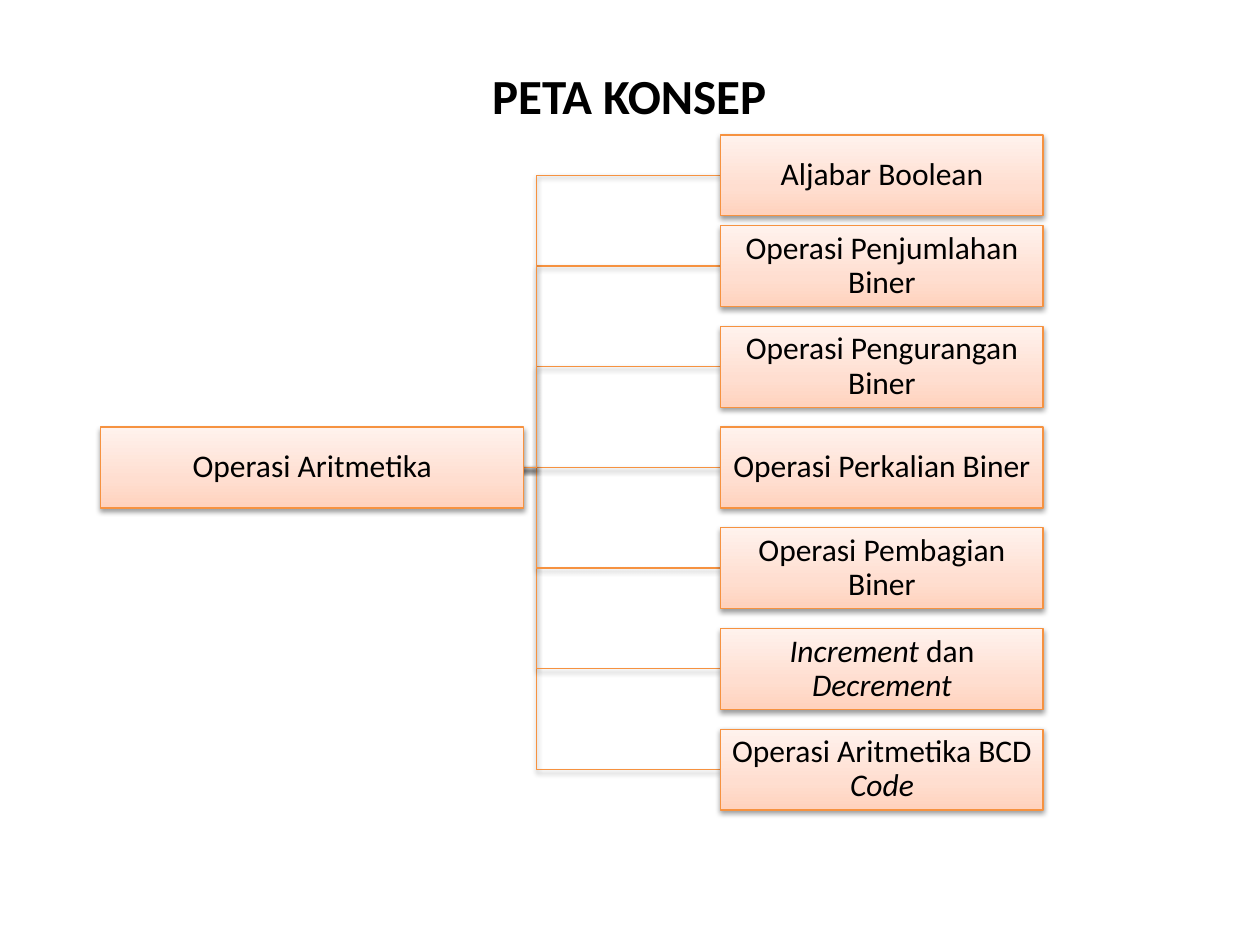
from lxml.etree import SubElement
from pptx import Presentation
from pptx.dml.color import RGBColor
from pptx.enum.shapes import MSO_CONNECTOR, MSO_SHAPE
from pptx.enum.text import MSO_ANCHOR, PP_ALIGN
from pptx.oxml.ns import qn
from pptx.util import Cm, Pt

COLORS = {
    "text": "000000",
    "line": "F69240",
    "shadow": "000000",
    "fill_bottom": "FFD2BD",
    "fill_middle": "FFDED0",
    "fill_top": "FFF2ED",
}
GRADIENT = [(0, "fill_bottom"), (35, "fill_middle"), (100, "fill_top")]

# Each topic is a list of (text, italic) runs.
TOPICS = [
    [("Aljabar Boolean", False)],
    [("Operasi Penjumlahan Biner", False)],
    [("Operasi Pengurangan Biner", False)],
    [("Operasi Perkalian Biner", False)],
    [("Operasi Pembagian Biner", False)],
    [("Increment ", True), ("dan ", False), ("Decrement", True)],
    [("Operasi Aritmetika BCD ", False), ("Code", True)],
]
ROOT_ROW = 3

BOX_HEIGHT = Cm(1.63)
ROOT_LEFT, ROOT_WIDTH = Cm(2.03), Cm(8.53)
TOPIC_LEFT, TOPIC_WIDTH = Cm(14.53), Cm(6.5)
ROOT_CENTER = Cm(7.11)
TRUNK_X = Cm(10.82)
FIRST_TOP, SECOND_TOP, ROW_PITCH = Cm(2.72), Cm(4.55), Cm(2.03)


def row_top(row):
    """The first row sits a little closer to the second than the pitch."""
    return FIRST_TOP if row == 0 else SECOND_TOP + (row - 1) * ROW_PITCH


def row_middle(row):
    return row_top(row) + BOX_HEIGHT // 2


def write_text(shape, runs, size=18, bold=False, line_spacing=None):
    frame = shape.text_frame
    frame.word_wrap = True
    paragraph = frame.paragraphs[0]
    paragraph.alignment = PP_ALIGN.CENTER
    paragraph.line_spacing = line_spacing
    for text, italic in runs:
        run = paragraph.add_run()
        run.text = text
        run.font.name = "Calibri"
        run.font.size = Pt(size)
        run.font.bold = bold
        run.font.italic = italic
        run.font.color.rgb = RGBColor.from_string(COLORS["text"])


def add_color(parent, name):
    return SubElement(parent, qn("a:srgbClr"), val=COLORS[name])


def style_outline(shape):
    """Thin orange line with a soft shadow below."""
    shape.line.color.rgb = RGBColor.from_string(COLORS["line"])
    shape.line.width = Pt(0.75)
    effects = SubElement(shape._element.spPr, qn("a:effectLst"))
    shadow = SubElement(effects, qn("a:outerShdw"), blurRad=str(Pt(3.1)),
                        dist=str(Pt(1.6)), dir="5400000", rotWithShape="0")
    SubElement(add_color(shadow, "shadow"), qn("a:alpha"), val="38000")


def fill_gradient(shape):
    shape.fill.gradient()
    shape.fill.gradient_angle = 90
    stops = shape._element.spPr.find(".//" + qn("a:gsLst"))
    for stop in list(stops):
        stops.remove(stop)
    for position, name in GRADIENT:
        add_color(SubElement(stops, qn("a:gs"), pos=str(position * 1000)), name)


def add_box(slide, left, top, width, runs):
    box = slide.shapes.add_shape(MSO_SHAPE.RECTANGLE, left, top, width, BOX_HEIGHT)
    fill_gradient(box)
    style_outline(box)
    frame = box.text_frame
    frame.margin_left = frame.margin_right = Cm(0.03)
    frame.margin_top = frame.margin_bottom = Cm(0.03)
    frame.vertical_anchor = MSO_ANCHOR.MIDDLE
    write_text(box, runs, line_spacing=0.9)
    return box


def add_branch(slide, row):
    """Bent line from the root to a topic on another row."""
    start, end = row_middle(ROOT_ROW), row_middle(row)
    builder = slide.shapes.build_freeform(ROOT_CENTER, start)
    builder.add_line_segments(
        [(TRUNK_X, start), (TRUNK_X, end), (TOPIC_LEFT, end)], close=False)
    branch = builder.convert_to_shape()
    branch.fill.background()
    style_outline(branch)


def add_straight_branch(slide):
    middle = row_middle(ROOT_ROW)
    connector = slide.shapes.add_connector(
        MSO_CONNECTOR.STRAIGHT, ROOT_CENTER, middle, TOPIC_LEFT, middle)
    style_outline(connector)
    return connector


def add_title(slide, text):
    title = slide.shapes.add_textbox(Cm(2.97), Cm(1.19), Cm(19.43), Cm(1.45))
    write_text(title, [(text, False)], size=28, bold=True)


def main():
    presentation = Presentation()
    presentation.slide_width, presentation.slide_height = Cm(25.4), Cm(19.05)
    slide = presentation.slides.add_slide(presentation.slide_layouts[6])

    for row in reversed(range(len(TOPICS))):
        if row == ROOT_ROW:
            connector = add_straight_branch(slide)
        else:
            add_branch(slide, row)

    add_box(slide, ROOT_LEFT, row_top(ROOT_ROW), ROOT_WIDTH,
            [("Operasi Aritmetika", False)])
    boxes = [add_box(slide, TOPIC_LEFT, row_top(row), TOPIC_WIDTH, runs)
             for row, runs in enumerate(TOPICS)]
    connector.end_connect(boxes[ROOT_ROW], 1)

    add_title(slide, "PETA KONSEP")
    presentation.save("out.pptx")


if __name__ == "__main__":
    main()
